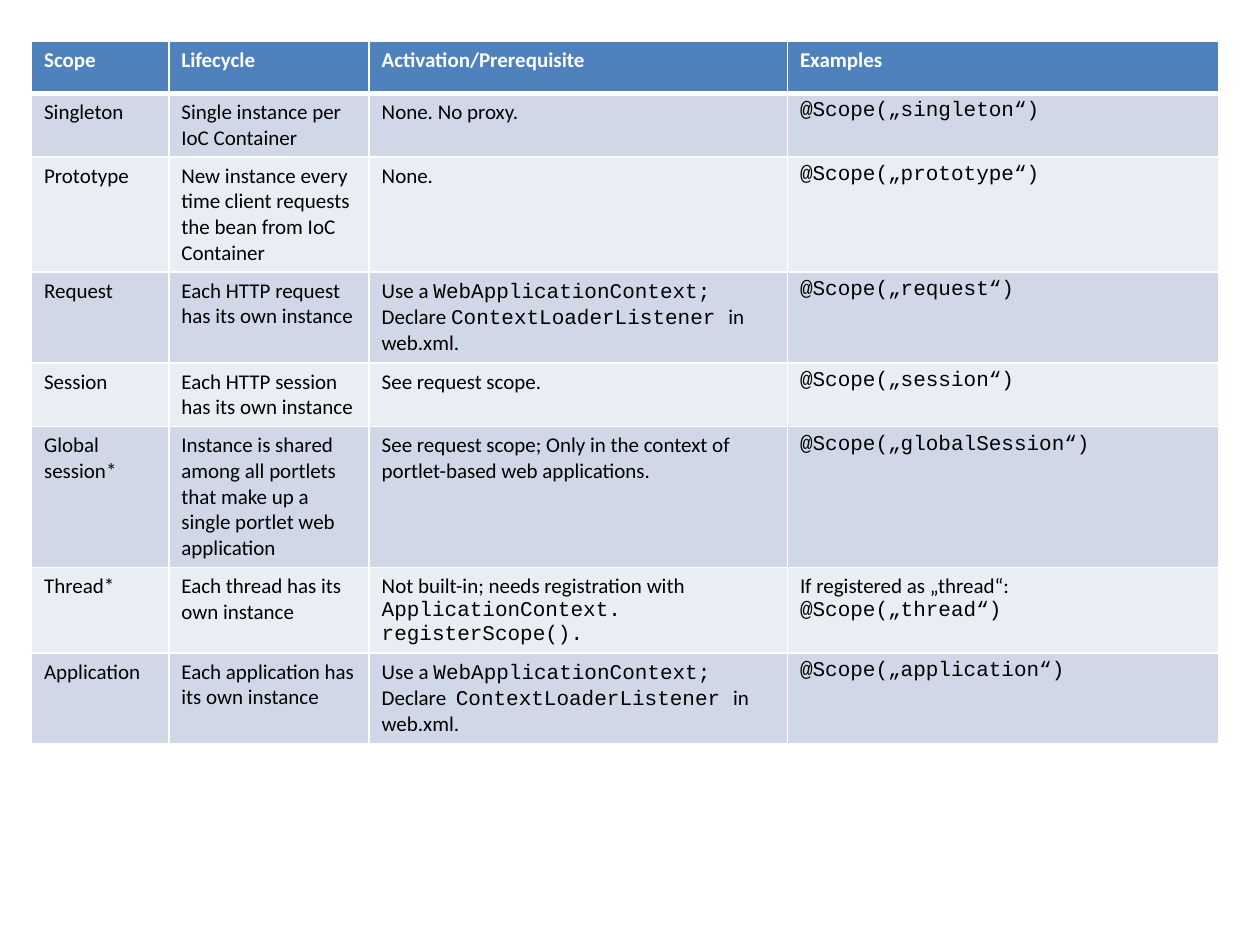
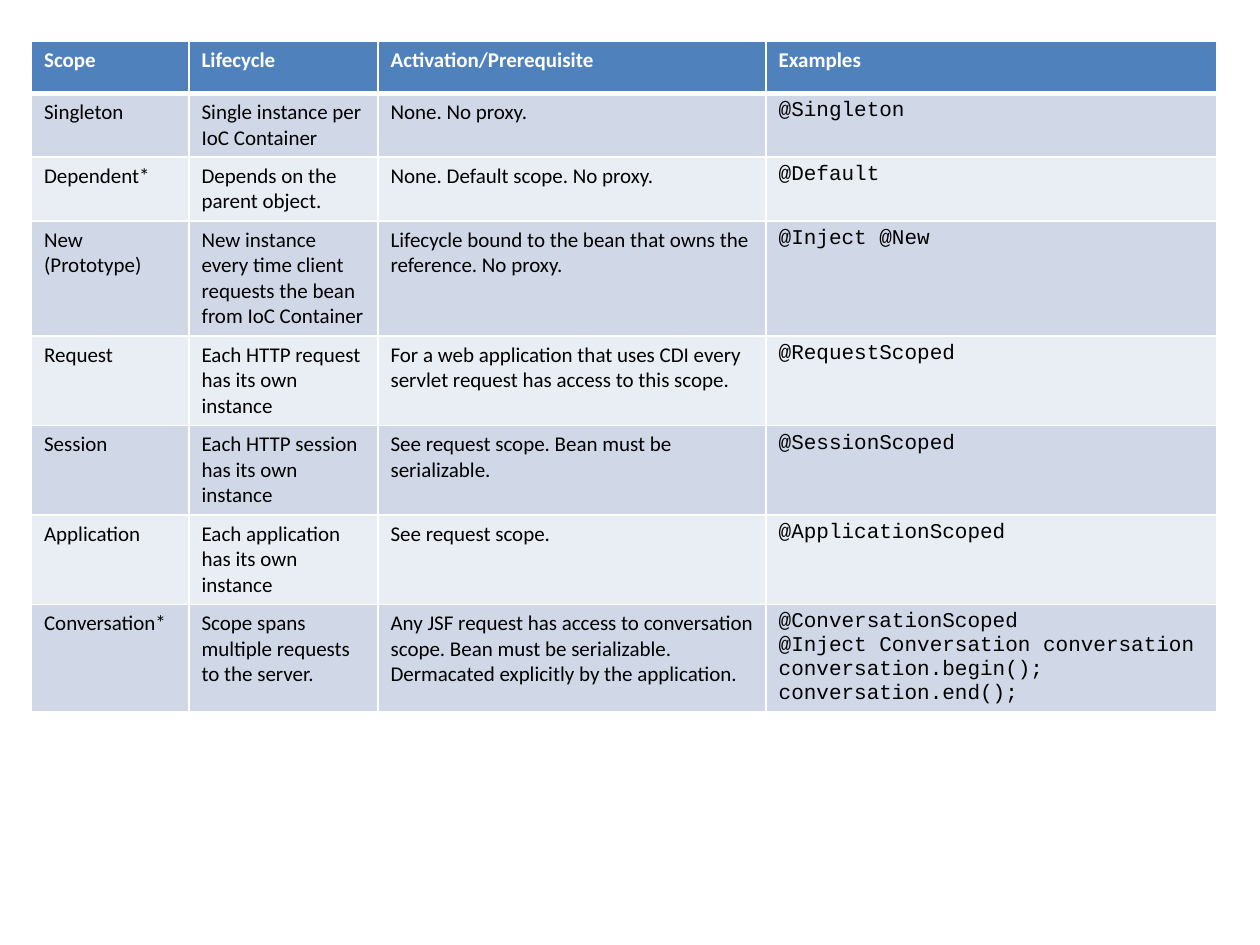
import dataclasses
import typing

import pptx
import pptx.dml.color
import pptx.oxml
import pptx.oxml.ns
import pptx.util
from pptx.util import Inches


@dataclasses.dataclass(frozen=True)
class Theme:
    header_fill: str = "4F81BD"
    band_fills: tuple[str, str] = ("D0D8E8", "E9EDF4")
    header_text: str = "FFFFFF"
    body_text: str = "000000"
    border: str = "FFFFFF"
    body_font: str = "Calibri"
    code_font: str = "Courier New"
    text_size: int = 12
    border_width: int = 1
    header_rule_width: int = 3


class ScopeRow(typing.NamedTuple):
    """One table row; text between backticks is set in the code font."""
    scope: str
    lifecycle: str
    prerequisite: str
    example: str


@dataclasses.dataclass(frozen=True)
class ScopeTable:
    column_widths: tuple[float, ...]
    height: float
    rows: tuple[ScopeRow, ...]


THEME = Theme()
LEFT, TOP, ROW_HEIGHT = Inches(0.25), Inches(0.33), Inches(0.41)
HEADER = ScopeRow("Scope", "Lifecycle", "Activation/Prerequisite", "Examples")

# Wording used in both tables
SINGLE_INSTANCE = "Single instance per IoC Container"
NEW_INSTANCE = "New instance every time client requests the bean from IoC Container"
OWN_INSTANCE = "Each {} has its own instance"

# Scopes set by annotation argument
SCOPE_ARGUMENTS = ScopeTable((1.09, 1.59, 3.32, 3.42), 5.51, (
    ScopeRow("Singleton", SINGLE_INSTANCE, "None. No proxy.", "`@Scope(„singleton“)`"),
    ScopeRow("Prototype", NEW_INSTANCE, "None.", "`@Scope(„prototype“)`"),
    ScopeRow("Request", OWN_INSTANCE.format("HTTP request"),
             "Use a `WebApplicationContext; `Declare `ContextLoaderListener `in web.xml.",
             "`@Scope(„request“)`"),
    ScopeRow("Session", OWN_INSTANCE.format("HTTP session"), "See request scope.",
             "`@Scope(„session“)`"),
    ScopeRow("Global session*",
             "Instance is shared among all portlets that make up a single portlet web application",
             "See request scope; Only in the context of portlet-based web applications.",
             "`@Scope(„globalSession“)`"),
    ScopeRow("Thread*", OWN_INSTANCE.format("thread"),
             "Not built-in; needs registration with `ApplicationContext. registerScope().`",
             "If registered as „thread“: `@Scope(„thread“)`"),
    ScopeRow("Application", OWN_INSTANCE.format("application"),
             "Use a `WebApplicationContext; `Declare  `ContextLoaderListener `in web.xml.",
             "`@Scope(„application“)`"),
))

# Scopes with an annotation of their own
SCOPE_ANNOTATIONS = ScopeTable((1.25, 1.5, 3.08, 3.58), 5.31, (
    ScopeRow("Singleton", SINGLE_INSTANCE, "None. No proxy.", "`@Singleton`"),
    ScopeRow("Dependent*", "Depends on the parent object.",
             "None. Default scope. No proxy.", "`@Default`"),
    ScopeRow("New (Prototype)", NEW_INSTANCE,
             "Lifecycle bound to the bean that owns the reference. No proxy.",
             "`@Inject @New`"),
    ScopeRow("Request", OWN_INSTANCE.format("HTTP request"),
             "For a web application that uses CDI every servlet request has access to this scope.",
             "`@RequestScoped`"),
    ScopeRow("Session", OWN_INSTANCE.format("HTTP session"),
             "See request scope. Bean must be serializable.", "`@SessionScoped`"),
    ScopeRow("Application", OWN_INSTANCE.format("application"), "See request scope.",
             "`@ApplicationScoped`"),
    ScopeRow("Conversation*", "Scope spans multiple requests to the server.",
             "Any JSF request has access to conversation scope. Bean must be serializable. "
             "Dermacated explicitly by the application.",
             "`@ConversationScoped`\n`@Inject Conversation conversation`\n"
             "`conversation.begin();`\n`conversation.end();`"),
))


def rgb(color: str) -> pptx.dml.color.RGBColor:
    return pptx.dml.color.RGBColor.from_string(color)


def write_text(text_frame, text: str, *, color: str, bold: bool = False,
               size: int = THEME.text_size) -> None:
    for line_index, line in enumerate(text.split("\n")):
        paragraph = text_frame.add_paragraph() if line_index else text_frame.paragraphs[0]
        for part_index, part in enumerate(line.split("`")):
            if not part:
                continue
            run = paragraph.add_run()
            run.text = part
            run.font.name = THEME.code_font if part_index % 2 else THEME.body_font
            run.font.size = pptx.util.Pt(size)
            run.font.bold = bold
            run.font.color.rgb = rgb(color)


def set_borders(cell, **widths: int) -> None:
    """Draw all four sides; widths by side (L, R, T, B) override the usual one."""
    properties = cell._tc.get_or_add_tcPr()
    for side in "LRTB":
        width = pptx.util.Pt(widths.get(side, THEME.border_width))
        properties.append(pptx.oxml.parse_xml(
            f'<a:ln{side} {pptx.oxml.ns.nsdecls("a")} w="{width}"><a:solidFill>'
            f'<a:srgbClr val="{THEME.border}"/></a:solidFill></a:ln{side}>'))


def fill_cell(cell, color: str) -> None:
    cell.fill.solid()
    cell.fill.fore_color.rgb = rgb(color)


def add_scope_table(slide, content: ScopeTable) -> None:
    rows = (HEADER, *content.rows)
    frame = slide.shapes.add_table(
        len(rows), len(HEADER), LEFT, TOP,
        Inches(sum(content.column_widths)), ROW_HEIGHT * len(rows))
    table = frame.table
    for column, width in zip(table.columns, content.column_widths):
        column.width = Inches(width)

    for row_index, row in enumerate(rows):
        is_header = row_index == 0
        table.rows[row_index].height = ROW_HEIGHT
        fill = THEME.header_fill if is_header else THEME.band_fills[(row_index - 1) % 2]
        # The thick rule is shared by the header and the first body row
        rule_side = {0: "B", 1: "T"}.get(row_index)
        widths = {rule_side: THEME.header_rule_width} if rule_side else {}
        for column_index, text in enumerate(row):
            cell = table.cell(row_index, column_index)
            set_borders(cell, **widths)
            fill_cell(cell, fill)
            write_text(cell.text_frame, text, bold=is_header,
                       color=THEME.header_text if is_header else THEME.body_text)
    frame.height = Inches(content.height)


def main() -> None:
    presentation = pptx.Presentation()
    presentation.slide_width = Inches(10)
    presentation.slide_height = Inches(7.5)
    blank_layout = presentation.slide_layouts[6]
    for content in (SCOPE_ARGUMENTS, SCOPE_ANNOTATIONS):
        add_scope_table(presentation.slides.add_slide(blank_layout), content)
    presentation.save("out.pptx")


if __name__ == "__main__":
    main()
